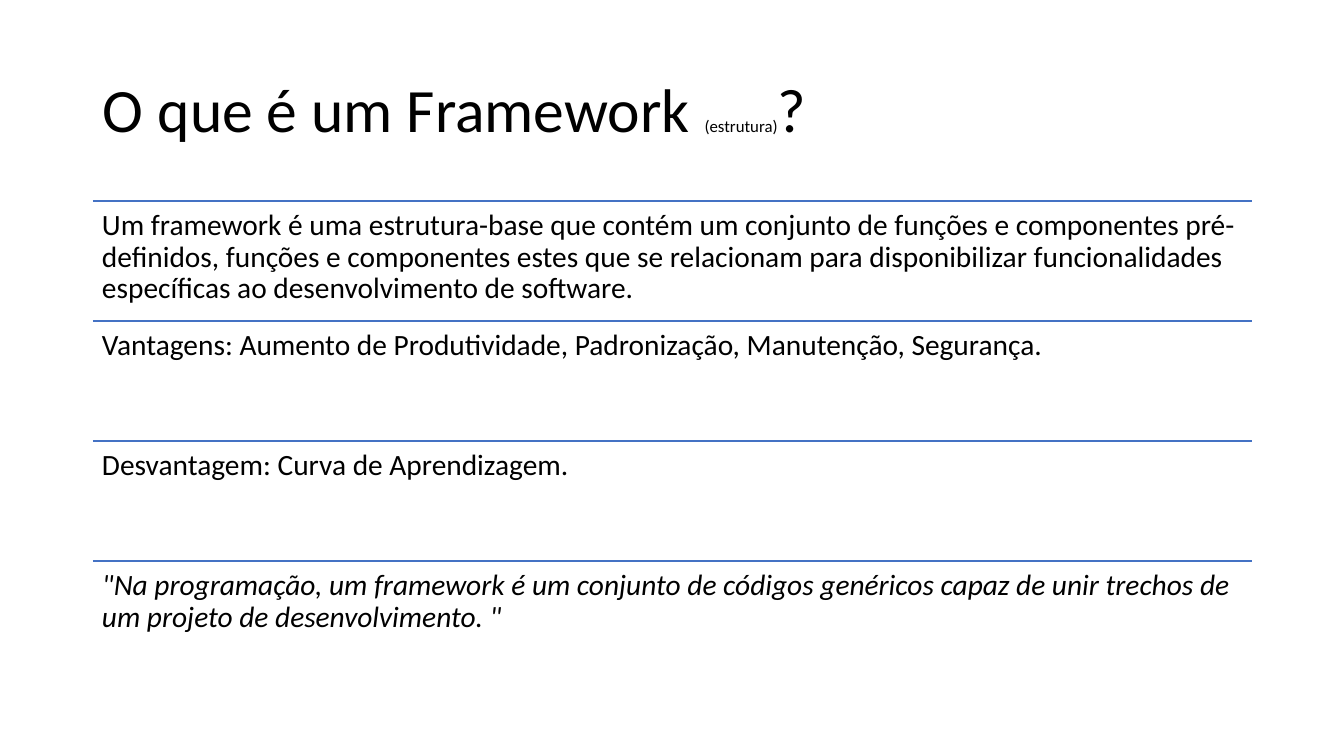
"""Build the slide that explains what a framework is."""
import dataclasses

import lxml.etree
import pptx
import pptx.dml.color
import pptx.enum.shapes
import pptx.enum.text
import pptx.oxml.ns
import pptx.shapes.autoshape
import pptx.slide
import pptx.util

EMU_PER_PIXEL = 914400 / 100.8
BLACK = pptx.dml.color.RGBColor(0x00, 0x00, 0x00)
BLUE = pptx.dml.color.RGBColor(0x44, 0x72, 0xC4)
FONT = "Calibri"
LEFT, WIDTH = 93, 1159
TITLE_TOP, TITLE_HEIGHT = 40, 146
TOPICS_TOP, TOPIC_HEIGHT = 201, 120


@dataclasses.dataclass(frozen=True)
class Wording:
    text: str
    size: int = 21
    italic: bool = False


TITLE = [
    Wording("O que é um Framework ", 44),
    Wording("(estrutura)", 12),
    Wording("?", 44),
]
TOPICS = [
    Wording(
        "Um framework é uma estrutura-base que contém um conjunto de funções e "
        "componentes pré-definidos, funções e componentes estes que se relacionam "
        "para disponibilizar funcionalidades específicas ao desenvolvimento de software."
    ),
    Wording(
        "Vantagens: Aumento\u00a0de Produtividade,\u00a0Padronização,"
        "\u00a0Manutenção, Segurança."
    ),
    Wording("Desvantagem: Curva de Aprendizagem."),
    Wording(
        '"Na programação, um framework é um conjunto de códigos genéricos capaz de '
        'unir trechos de um projeto de desenvolvimento.\u00a0"',
        italic=True,
    ),
]


def px(pixels: int) -> pptx.util.Emu:
    return pptx.util.Emu(round(pixels * EMU_PER_PIXEL))


def add_text(
    slide: pptx.slide.Slide,
    top: int,
    height: int,
    wordings: list[Wording],
    anchor: pptx.enum.text.MSO_ANCHOR,
    side_inset: int,
    end_inset: int,
) -> None:
    frame = slide.shapes.add_textbox(px(LEFT), px(top), px(WIDTH), px(height)).text_frame
    frame.word_wrap = True
    frame.vertical_anchor = anchor
    frame.margin_left = frame.margin_right = px(side_inset)
    frame.margin_top = frame.margin_bottom = px(end_inset)
    paragraph = frame.paragraphs[0]
    paragraph.line_spacing = 0.9
    for wording in wordings:
        run = paragraph.add_run()
        run.text = wording.text
        run.font.name = FONT
        run.font.size = pptx.util.Pt(wording.size)
        run.font.italic = wording.italic
        run.font.color.rgb = BLACK


def add_divider(slide: pptx.slide.Slide, top: int) -> None:
    divider = slide.shapes.add_connector(
        pptx.enum.shapes.MSO_CONNECTOR.STRAIGHT,
        px(LEFT), px(top), px(LEFT + WIDTH), px(top),
    )
    divider.line.color.rgb = BLUE
    divider.line.width = pptx.util.Pt(1)
    lxml.etree.SubElement(divider._element.spPr, pptx.oxml.ns.qn("a:effectLst"))


def main() -> None:
    presentation = pptx.Presentation()
    presentation.slide_width = px(1344)
    presentation.slide_height = px(756)
    slide = presentation.slides.add_slide(presentation.slide_layouts[6])
    anchors = pptx.enum.text.MSO_ANCHOR
    add_text(slide, TITLE_TOP, TITLE_HEIGHT, TITLE, anchors.MIDDLE, 10, 5)
    for position, topic in enumerate(TOPICS):
        top = TOPICS_TOP + position * TOPIC_HEIGHT
        add_divider(slide, top)
        add_text(slide, top, TOPIC_HEIGHT, [topic], anchors.TOP, 9, 9)
    presentation.save("out.pptx")


main()
